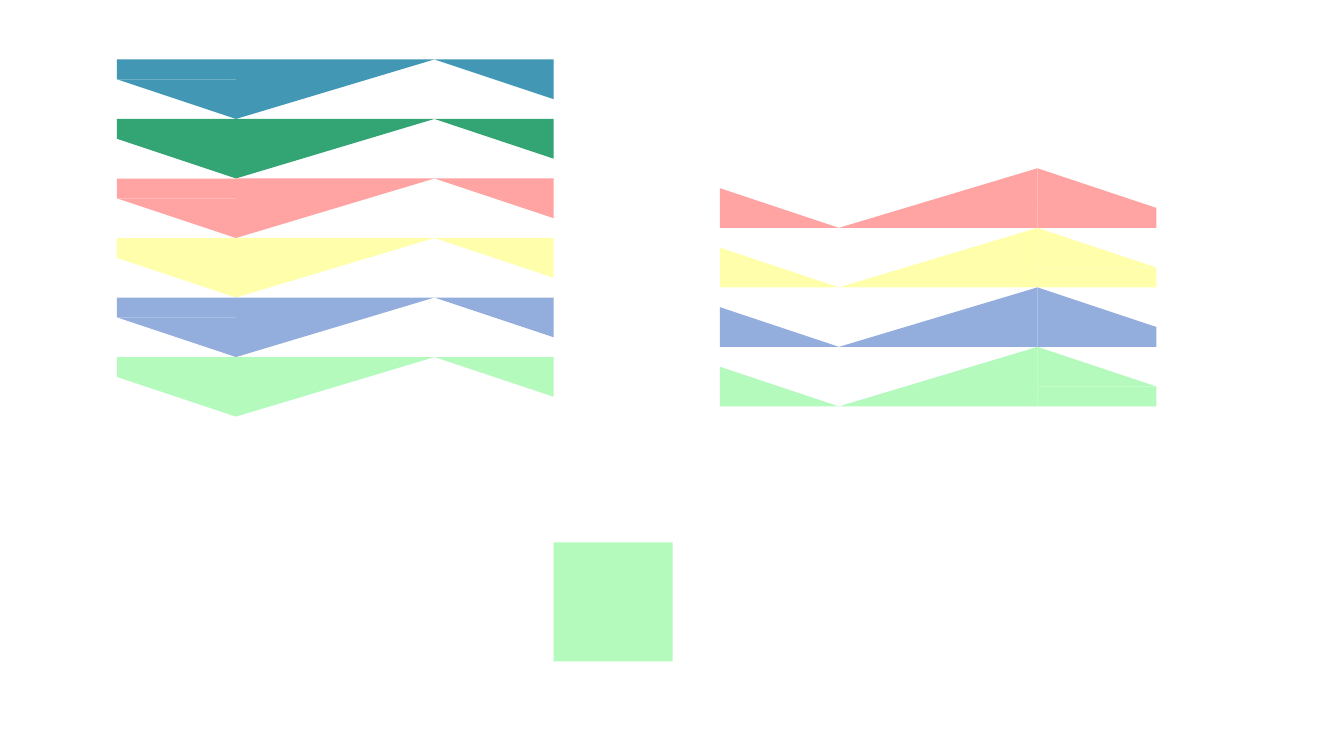
from pptx import Presentation
from pptx.dml.color import RGBColor
from pptx.enum.shapes import MSO_SHAPE
from pptx.util import Inches

RECT = MSO_SHAPE.RECTANGLE
TRIANGLE = MSO_SHAPE.RIGHT_TRIANGLE

BLUE = RGBColor(0x42, 0x98, 0xB4)
GREEN = RGBColor(0x33, 0xA4, 0x74)
PINK = RGBColor(0xFF, 0xA3, 0xA3)
YELLOW = RGBColor(0xFF, 0xFF, 0xAB)
PERIWINKLE = RGBColor(0x93, 0xAD, 0xDD)
MINT = RGBColor(0xB4, 0xFA, 0xBC)

UNIT = Inches(1 / 5.08)  # half a centimetre
BAND_W, BAND_H = 22, 3  # in units

# kind, x, y, width, height in units, flipped horizontally, flipped vertically
BAND_PARTS = [
    (RECT, 0, 0, 6, 1, False, False),
    (TRIANGLE, 0, 1, 6, 2, True, True),
    (TRIANGLE, 6, 0, 10, 3, False, True),
    (TRIANGLE, 16, 0, 6, 2, True, True),
]


def add_piece(shapes, kind, left, top, width, height, color):
    sp = shapes.add_shape(kind, left, top, width, height)
    sp.shadow.inherit = False
    sp.fill.solid()
    sp.fill.fore_color.rgb = color
    sp.line.fill.background()
    return sp


def flip(sp, horizontal, vertical):
    xfrm = sp._element.spPr.xfrm
    if horizontal:
        xfrm.set("flipH", "1")
    if vertical:
        xfrm.set("flipV", "1")


def add_band(s, left, top, color, turned):
    """Add one grouped zigzag band; turned rotates its layout by half a turn."""
    group = s.shapes.add_group_shape()
    for kind, x, y, w, h, flip_h, flip_v in BAND_PARTS:
        if turned:
            x, y = BAND_W - x - w, BAND_H - y - h
        sp = add_piece(group.shapes, kind, left + x * UNIT, top + y * UNIT,
                       w * UNIT, h * UNIT, color)
        flip(sp, flip_h != turned, flip_v != turned)


def add_stack(s, left, top, colors, turned=False):
    for row, color in enumerate(colors):
        add_band(s, left, top + row * BAND_H * UNIT, color, turned)


def main():
    prs = Presentation()
    prs.slide_width = Inches(13.33)
    prs.slide_height = Inches(7.5)
    s = prs.slides.add_slide(prs.slide_layouts[6])

    pastels = [PINK, YELLOW, PERIWINKLE, MINT]
    add_stack(s, Inches(1.16), Inches(0.59), [BLUE, GREEN] + pastels)
    add_stack(s, Inches(7.14), Inches(1.67), pastels, turned=True)
    add_piece(s.shapes, RECT, Inches(5.49), Inches(5.38), 6 * UNIT, 6 * UNIT, MINT)

    prs.save("out.pptx")


if __name__ == "__main__":
    main()
